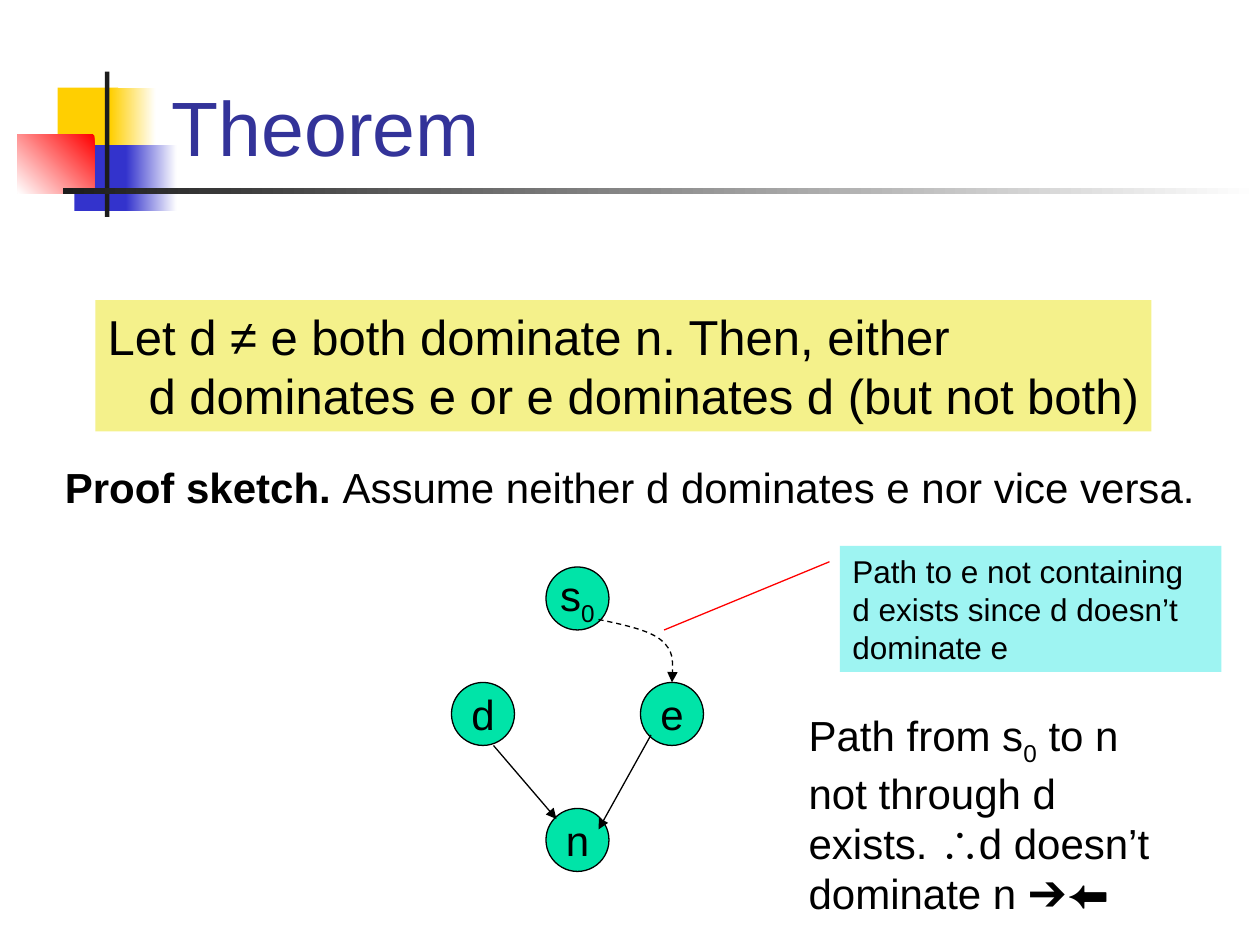
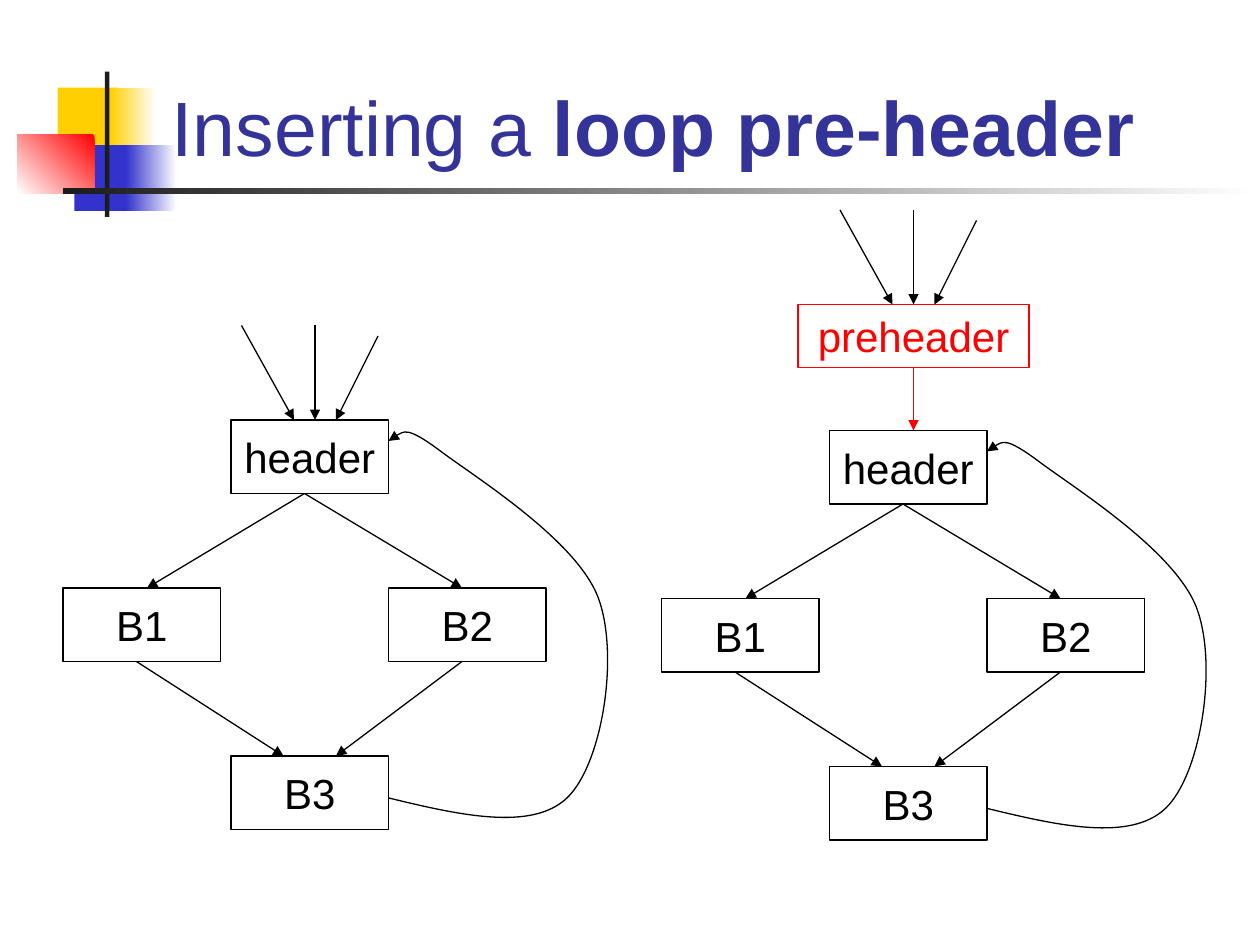
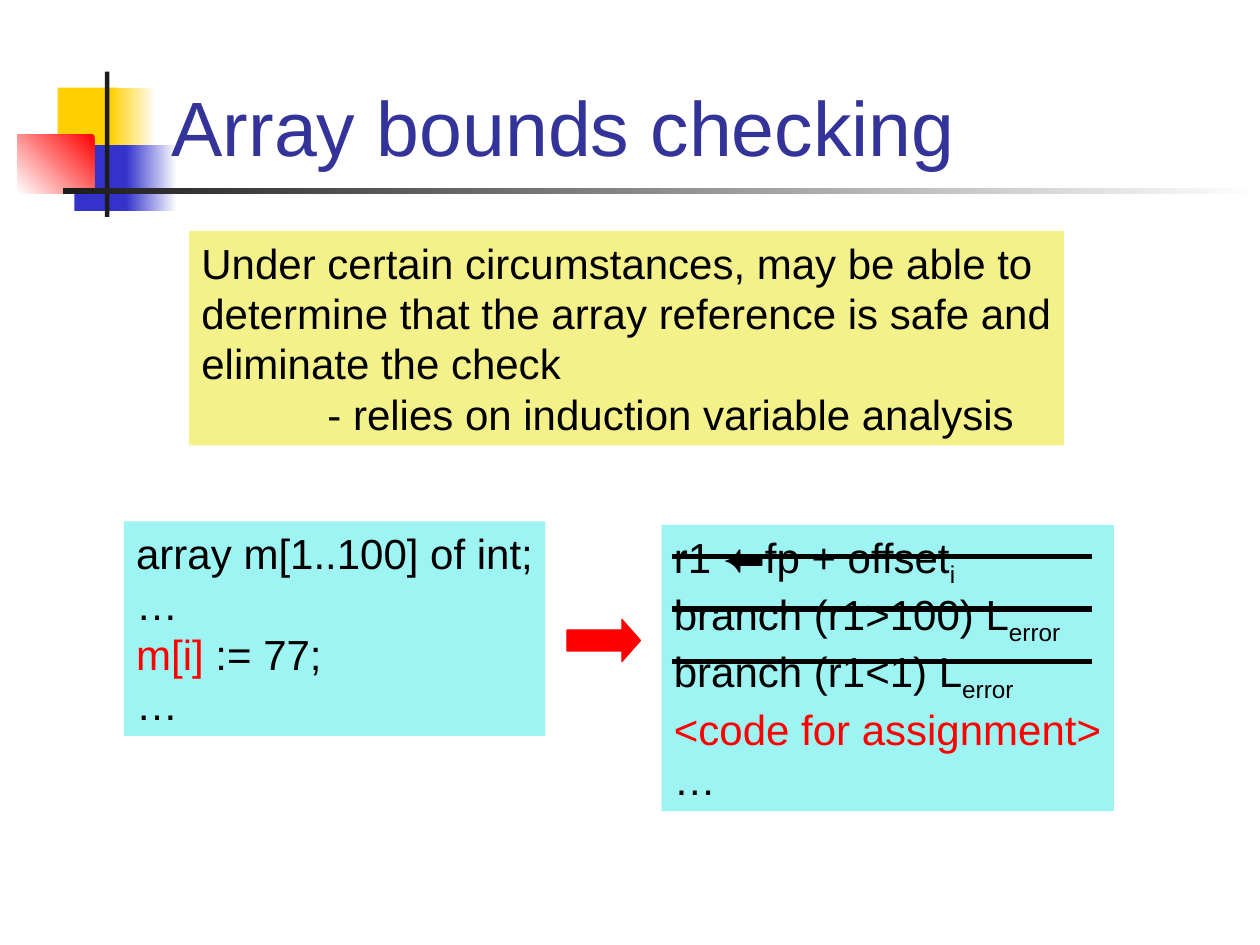
from dataclasses import dataclass
from typing import NamedTuple

from pptx import Presentation
from pptx.dml.color import RGBColor
from pptx.enum.dml import MSO_LINE
from pptx.enum.shapes import MSO_CONNECTOR, MSO_SHAPE
from pptx.enum.text import MSO_ANCHOR, MSO_AUTO_SIZE, PP_ALIGN
from pptx.oxml.ns import qn
from pptx.oxml.xmlchemy import OxmlElement
from pptx.util import Pt

FONT = "Arial"
BLACK, WHITE, RED = "000000", "FFFFFF", "FF0000"
CHARCOAL, GOLD, BLUE, NAVY = "1C1C1C", "FFCF01", "3333CC", "333399"
YELLOW, CYAN, GREEN = "F4F18B", "9EF4F2", "00E4A8"

Point = tuple[float, float]


class Box(NamedTuple):
    left: float
    top: float
    width: float
    height: float


class Run(NamedTuple):
    text: str
    color: str | None = None
    bold: bool = False
    subscript: bool = False


class Line(NamedTuple):
    runs: tuple[Run, ...]
    indent: float = 0


@dataclass(frozen=True)
class Ornament:
    box: Box
    color: str
    fades: bool = False
    angle: float = 0


@dataclass(frozen=True)
class Node:
    label: tuple[Run, ...]
    left: float
    top: float


@dataclass(frozen=True)
class Edge:
    start: Point
    end: Point


ORNAMENTS = (
    Ornament(Box(33, 50, 34.5, 37.5), GOLD),
    Ornament(Box(63, 50, 26, 37.5), GOLD, fades=True),
    Ornament(Box(42.5, 83, 33, 37.5), BLUE),
    Ornament(Box(72, 83, 29, 37.5), BLUE, fades=True),
    Ornament(Box(10, 77, 44, 33.5), RED, fades=True, angle=225),
    Ornament(Box(60, 41, 2.5, 83), CHARCOAL),
    Ornament(Box(36, 107.25, 684, 3.5), CHARCOAL, fades=True),
)
TITLE_BOX = Box(91, 12, 613, 90)

NODE_SIZE = 36
DOMINATOR_NODES = (
    Node((Run("s"), Run("0", subscript=True)), 312, 324),
    Node((Run("d"),), 258, 390),
    Node((Run("e"),), 366, 390),
    Node((Run("n"),), 312, 462),
)
DOMINATOR_EDGES = (
    Edge((372, 420), (342, 474)),
    Edge((282, 426), (318, 468)),
)

BLOCK_WIDTH, BLOCK_HEIGHT = 90, 42
LOOP_BLOCKS = (
    Node((Run("header"),), 96, 0),
    Node((Run("B3"),), 96, 192),
    Node((Run("B2"),), 186, 96),
    Node((Run("B1"),), 0, 96),
)
LOOP_EDGES = (
    Edge((138, 42), (48, 96)),
    Edge((138, 42), (228, 96)),
    Edge((228, 138), (156, 192)),
    Edge((42, 138), (126, 192)),
)
BACK_EDGE = (
    (186, 216),
    (227, 226), (268, 235), (288, 216),
    (308, 197), (318, 135), (306, 102),
    (294, 69), (236, 33), (216, 18),
    (196, 3), (191, 8), (186, 12),
)
ENTRY_EDGES = (
    Edge((36, -48), (12, 0)),
    Edge((-42, -54), (-12, 0)),
    Edge((0, -54), (0, 0)),
)


def rgb(color: str) -> RGBColor:
    return RGBColor.from_string(color)


def plain(*texts: str) -> list[Line]:
    return [Line((Run(text),)) for text in texts]


def shift(point: Point, left: float, top: float) -> Point:
    return point[0] + left, point[1] + top


def write(shape, lines, *, size=24, color=BLACK, align=PP_ALIGN.LEFT,
          anchor=MSO_ANCHOR.TOP, wrap=True, grow=False) -> None:
    frame = shape.text_frame
    frame.word_wrap = wrap
    frame.vertical_anchor = anchor
    frame.auto_size = MSO_AUTO_SIZE.SHAPE_TO_FIT_TEXT if grow else MSO_AUTO_SIZE.NONE
    for index, line in enumerate(lines):
        paragraph = frame.add_paragraph() if index else frame.paragraphs[0]
        paragraph.alignment = align
        if line.indent:
            properties = paragraph._p.get_or_add_pPr()
            properties.set("marL", str(Pt(line.indent)))
            properties.set("indent", "0")
        for part in line.runs:
            run = paragraph.add_run()
            run.text = part.text
            run.font.name = FONT
            run.font.size = Pt(size)
            run.font.bold = part.bold
            run.font.color.rgb = rgb(part.color or color)
            if part.subscript:
                run._r.get_or_add_rPr().set("baseline", "-25000")


def add_shape(slide, kind, box: Box, fill: str | None = None, outline: str | None = None):
    shape = slide.shapes.add_shape(kind, *map(Pt, box))
    shape.shadow.inherit = False
    if fill:
        shape.fill.solid()
        shape.fill.fore_color.rgb = rgb(fill)
    else:
        shape.fill.background()
    if outline:
        shape.line.color.rgb = rgb(outline)
        shape.line.width = Pt(0.75)
    else:
        shape.line.fill.background()
    return shape


def add_panel(slide, box: Box, lines, fill: str | None = None, **text_format) -> None:
    if fill:
        shape = add_shape(slide, MSO_SHAPE.RECTANGLE, box, fill)
    else:
        shape = slide.shapes.add_textbox(*map(Pt, box))
    write(shape, lines, **text_format)


def add_node(slide, kind, box: Box, label, fill=None, color=BLACK) -> None:
    shape = add_shape(slide, kind, box, fill, color)
    write(shape, [Line(label)], color=color, align=PP_ALIGN.CENTER,
          anchor=MSO_ANCHOR.MIDDLE, wrap=False)


def add_arrowhead(line) -> None:
    arrowhead = OxmlElement("a:tailEnd")
    arrowhead.set("type", "triangle")
    line._get_or_add_ln().append(arrowhead)


def add_line(slide, start: Point, end: Point, color=BLACK, width=0.75, arrow=True) -> None:
    connector = slide.shapes.add_connector(MSO_CONNECTOR.STRAIGHT, *map(Pt, start + end))
    connector.line.color.rgb = rgb(color)
    connector.line.width = Pt(width)
    connector._element.spPr.append(OxmlElement("a:effectLst"))
    if arrow:
        add_arrowhead(connector.line)


def add_curved_arrow(slide, points, dashed=False) -> None:
    start, *controls = [(Pt(x), Pt(y)) for x, y in points]
    builder = slide.shapes.build_freeform(*start)
    builder.add_line_segments(controls, close=False)
    shape = builder.convert_to_shape()
    segments = shape._element.xpath(".//a:lnTo")
    for index in range(0, len(segments), 3):
        curve, *others = segments[index:index + 3]
        curve.tag = qn("a:cubicBezTo")
        for other in others:
            curve.append(other[0])
            other.getparent().remove(other)
    shape.shadow.inherit = False
    shape.fill.background()
    shape.line.color.rgb = rgb(BLACK)
    shape.line.width = Pt(0.75)
    if dashed:
        shape.line.dash_style = MSO_LINE.DASH
    add_arrowhead(shape.line)


def add_slide(presentation, *title: Run):
    slide = presentation.slides.add_slide(presentation.slide_layouts[6])
    for ornament in ORNAMENTS:
        shape = add_shape(slide, MSO_SHAPE.RECTANGLE, ornament.box, ornament.color)
        if ornament.fades:
            shape.fill.gradient()
            shape.fill.gradient_angle = ornament.angle
            for stop, color in zip(shape.fill.gradient_stops, (ornament.color, WHITE)):
                stop.color.rgb = rgb(color)
    add_panel(slide, TITLE_BOX, [Line(title)], size=44, color=NAVY, anchor=MSO_ANCHOR.BOTTOM)
    return slide


def add_theorem_slide(presentation) -> None:
    slide = add_slide(presentation, Run("Theorem"))
    theorem = [
        Line((Run("Let d ≠ e both dominate n. Then, either"),)),
        Line((Run("d dominates e or e dominates d (but not both)"),), indent=23.35),
    ]
    add_panel(slide, Box(54.5, 171.5, 603.5, 75), theorem, YELLOW, size=28, wrap=False, grow=True)
    proof = Line((Run("Proof sketch. ", bold=True),
                  Run("Assume neither d dominates e nor vice versa.")))
    add_panel(slide, Box(30, 260, 660, 36), [proof], wrap=False, grow=True)

    for node in DOMINATOR_NODES:
        box = Box(node.left, node.top, NODE_SIZE, NODE_SIZE)
        add_node(slide, MSO_SHAPE.OVAL, box, node.label, GREEN)
    for edge in DOMINATOR_EDGES:
        add_line(slide, edge.start, edge.end)
    add_curved_arrow(slide, ((342, 354), (356, 357), (371, 360), (378, 366),
                             (385, 372), (384.5, 381), (384, 390)), dashed=True)

    add_panel(slide, Box(480, 312, 218, 72),
              plain("Path to e not containing d exists since d doesn’t dominate e"),
              CYAN, size=18, grow=True)
    add_line(slide, (379.5, 360), (474, 321), RED, arrow=False)
    conclusion = Line((Run("Path from s"), Run("0", subscript=True),
                       Run(" to n not through d exists. ∴ d doesn’t dominate n ➔⬅")))
    add_panel(slide, Box(455, 402, 223, 127), [conclusion], grow=True)


def draw_loop(slide, left: float, top: float) -> None:
    for block in LOOP_BLOCKS:
        box = Box(left + block.left, top + block.top, BLOCK_WIDTH, BLOCK_HEIGHT)
        add_node(slide, MSO_SHAPE.RECTANGLE, box, block.label)
    for edge in LOOP_EDGES:
        add_line(slide, shift(edge.start, left, top), shift(edge.end, left, top))
    add_curved_arrow(slide, [shift(point, left, top) for point in BACK_EDGE])


def draw_entries(slide, left: float, top: float) -> None:
    for edge in ENTRY_EDGES:
        add_line(slide, shift(edge.start, left, top), shift(edge.end, left, top))


def add_preheader_slide(presentation) -> None:
    slide = add_slide(presentation, Run("Inserting a "), Run("loop pre-header", bold=True))
    draw_loop(slide, 36, 240)
    draw_entries(slide, 180, 240)
    draw_loop(slide, 378, 246)
    draw_entries(slide, 522, 174)
    add_node(slide, MSO_SHAPE.RECTANGLE, Box(456, 174, 132, 36), (Run("preheader"),), color=RED)
    add_line(slide, (522, 210), (522, 246), RED)


def add_bounds_slide(presentation) -> None:
    slide = add_slide(presentation, Run("Array bounds checking"))
    source = plain("array m[1..100] of int;", "…")
    source += [Line((Run("m[i]", RED), Run(" := 77;"))), *plain("…")]
    add_panel(slide, Box(70.75, 298, 241, 122.5), source, CYAN, wrap=False, grow=True)

    checks = (("r1 ⬅fp + offset", "i"), ("branch (r1>100) L", "error"), ("branch (r1<1) L", "error"))
    compiled = [Line((Run(text), Run(index, subscript=True))) for text, index in checks]
    compiled += [Line((Run("<code for assignment>", RED),)), *plain("…")]
    add_panel(slide, Box(378, 300, 258.5, 163.5), compiled, CYAN, wrap=False, grow=True)

    summary = plain("Under certain circumstances, may be able to",
                    "determine that the array reference is safe and",
                    "eliminate the check")
    summary.append(Line((Run("- relies on induction variable analysis"),), indent=72))
    add_panel(slide, Box(108, 132, 500, 122.5), summary, YELLOW, grow=True)

    arrow = add_shape(slide, MSO_SHAPE.RIGHT_ARROW, Box(324, 354, 42, 24), RED, RED)
    arrow.adjustments[1] = 0.44
    for index in range(len(checks)):
        top = 318 + 30 * index
        add_line(slide, (384, top), (624, top), width=3, arrow=False)


def main() -> None:
    presentation = Presentation()
    presentation.slide_width, presentation.slide_height = Pt(720), Pt(540)
    add_theorem_slide(presentation)
    add_preheader_slide(presentation)
    add_bounds_slide(presentation)
    presentation.save("out.pptx")


if __name__ == "__main__":
    main()
